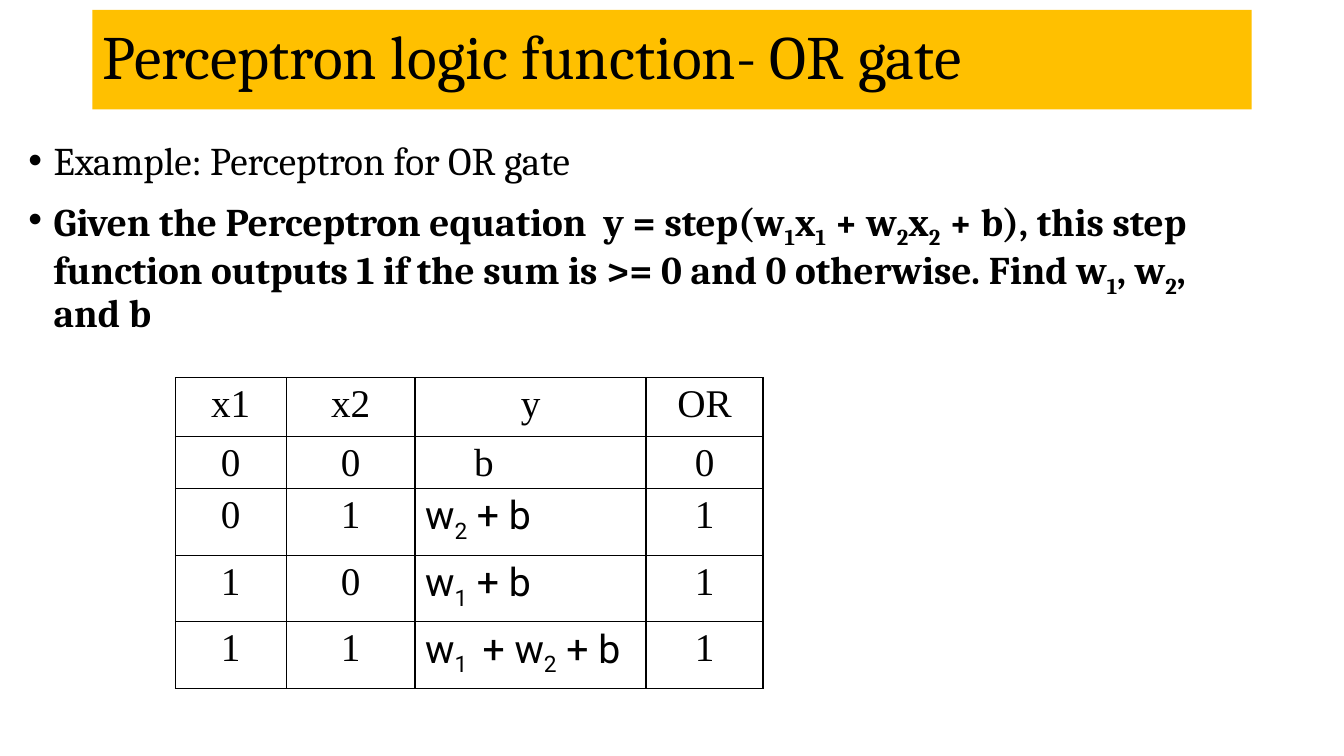
from lxml.etree import SubElement
from pptx import Presentation
from pptx.dml.color import RGBColor
from pptx.enum.text import MSO_ANCHOR as Anchor, MSO_AUTO_SIZE as AutoSize, PP_ALIGN as Align
from pptx.oxml.ns import qn
from pptx.util import Cm, Pt

AMBER = RGBColor(0xFF, 0xC0, 0x00)
BLACK = RGBColor(0x00, 0x00, 0x00)
SERIF, TABLE_SERIF, SANS = "Cambria", "Times New Roman", "Roboto"

# Braces enclose subscripts
BULLETS = [
    ("Example: Perceptron for OR gate", False),
    ("Given the Perceptron equation  y = step(w{1}x{1} + w{2}x{2} + b), this step "
     "function outputs 1 if the sum is >= 0 and 0 otherwise. "
     "Find w{1}, w{2}, and b", True),
]
TRUTH_TABLE = [
    ("x1", "x2", "y", "OR"),
    ("0", "0", "b", "0"),
    ("0", "1", "w{2} + b", "1"),
    ("1", "0", "w{1} + b", "1"),
    ("1", "1", "w{1 } + w{2} + b", "1"),
]
COLUMN_WIDTHS = (2.79, 3.25, 5.82, 2.95)
ROW_HEIGHTS = (1.47, 1.32, 1.68, 1.68, 1.68)
Y_COLUMN = 2


def apply_format(target, values):
    for name, value in values.items():
        setattr(target, name, value)


def place(shape, left, top, width, height):
    apply_format(shape, {"left": Cm(left), "top": Cm(top),
                         "width": Cm(width), "height": Cm(height)})


def write_text(paragraph, text, font_name, size, bold=False):
    for index, part in enumerate(text.replace("}", "{").split("{")):
        if not part:
            continue
        run = paragraph.add_run()
        run.text = part
        apply_format(run.font, {"name": font_name, "size": Pt(size), "bold": bold})
        run.font.color.rgb = BLACK
        if index % 2:
            run.font._element.set("baseline", "-25000")


def add_bullet(paragraph):
    properties = paragraph._p.get_or_add_pPr()
    properties.set("marL", str(Cm(0.64)))
    properties.set("indent", str(-Cm(0.64)))
    SubElement(properties, qn("a:buFont"), typeface="Arial")
    SubElement(properties, qn("a:buChar"), char="•")


def add_borders(cell):
    properties = cell._tc.get_or_add_tcPr()
    for side in ("lnL", "lnR", "lnT", "lnB"):
        line = SubElement(properties, qn(f"a:{side}"), w=str(Pt(1)))
        fill = SubElement(line, qn("a:solidFill"))
        SubElement(fill, qn("a:srgbClr"), val=str(BLACK))


def fill_title(title):
    place(title, 2.33, 0.25, 29.21, 2.51)
    title.fill.solid()
    title.fill.fore_color.rgb = AMBER
    frame = title.text_frame
    apply_format(frame, {"vertical_anchor": Anchor.MIDDLE, "word_wrap": True,
                         "auto_size": AutoSize.NONE})
    paragraph = frame.paragraphs[0]
    apply_format(paragraph, {"alignment": Align.LEFT, "line_spacing": 0.9})
    write_text(paragraph, "Perceptron logic function- OR gate", SERIF, 44)


def fill_body(body):
    place(body, 0.46, 3.43, 31.06, 14.02)
    frame = body.text_frame
    apply_format(frame, {"vertical_anchor": Anchor.TOP, "word_wrap": True,
                         "auto_size": AutoSize.NONE})
    for index, (text, bold) in enumerate(BULLETS):
        paragraph = frame.add_paragraph() if index else frame.paragraphs[0]
        add_bullet(paragraph)
        apply_format(paragraph, {"line_spacing": 0.9,
                                 "space_before": Pt(10 if index else 0)})
        write_text(paragraph, text, SERIF, 28, bold)


def fill_cell(cell, text, row, column):
    add_borders(cell)
    cell.fill.background()
    cell.margin_bottom = 0
    is_formula = column == Y_COLUMN and row > 0
    if text == "b":
        cell.margin_left = Cm(1.49)
    paragraph = cell.text_frame.paragraphs[0]
    paragraph.alignment = Align.LEFT if is_formula else Align.CENTER
    write_text(paragraph, text, SANS if is_formula and row > 1 else TABLE_SERIF, 28)


def add_truth_table(slide):
    frame = slide.shapes.add_table(
        len(ROW_HEIGHTS), len(COLUMN_WIDTHS), Cm(4.42), Cm(9.52),
        Cm(sum(COLUMN_WIDTHS)), Cm(sum(ROW_HEIGHTS)))
    table = frame.table
    apply_format(table, {"first_row": False, "horz_banding": False})
    for column, width in zip(table.columns, COLUMN_WIDTHS):
        column.width = Cm(width)
    for row, height in zip(table.rows, ROW_HEIGHTS):
        row.height = Cm(height)
    for row, texts in enumerate(TRUTH_TABLE):
        for column, text in enumerate(texts):
            fill_cell(table.cell(row, column), text, row, column)


def main():
    presentation = Presentation()
    apply_format(presentation, {"slide_width": Cm(33.87), "slide_height": Cm(19.05)})
    slide = presentation.slides.add_slide(presentation.slide_layouts[1])

    # Heading and problem statement
    fill_title(slide.shapes.title)
    fill_body(slide.placeholders[1])

    # Truth table of the gate
    add_truth_table(slide)
    presentation.save("out.pptx")


if __name__ == "__main__":
    main()
